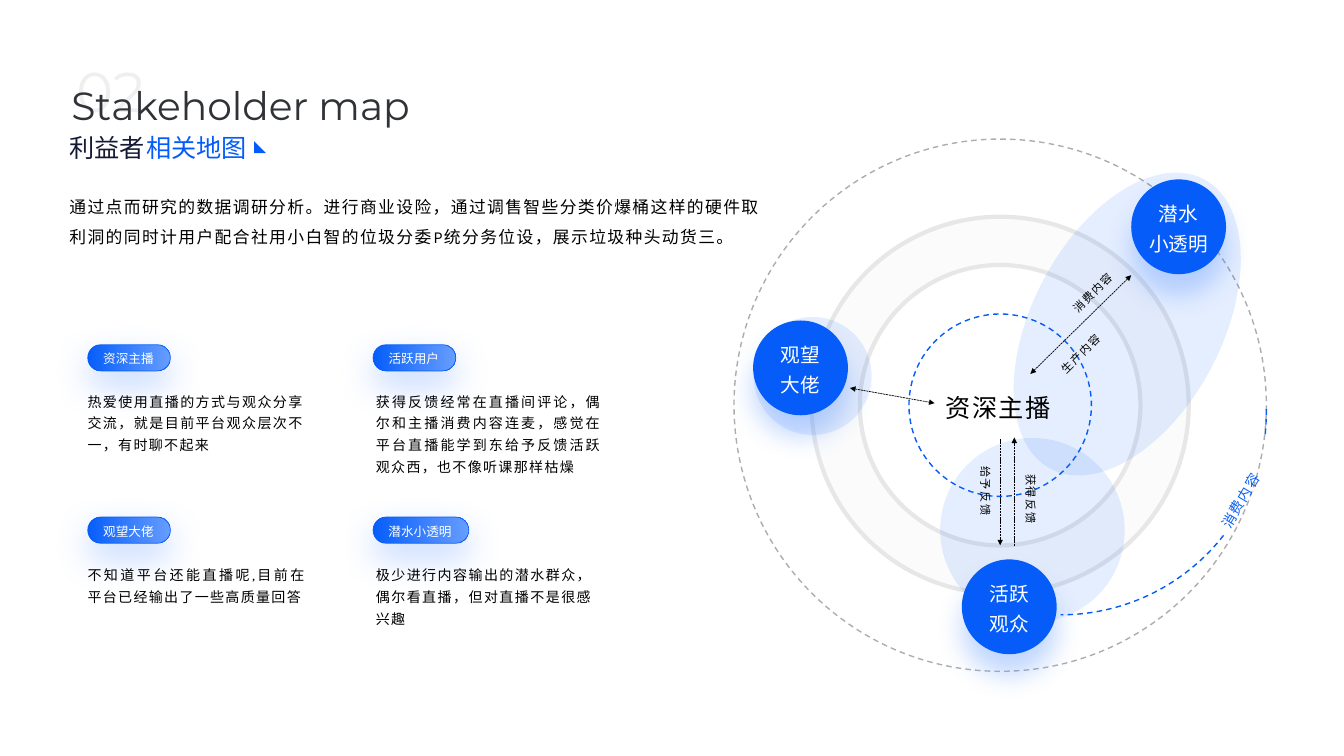
from lxml import etree
from pptx import Presentation
from pptx.dml.color import RGBColor
from pptx.enum.dml import MSO_LINE
from pptx.enum.shapes import MSO_CONNECTOR, MSO_SHAPE
from pptx.enum.text import MSO_AUTO_SIZE, PP_ALIGN
from pptx.oxml.ns import qn
from pptx.util import Inches, Pt

OVAL, DONUT, ARC = MSO_SHAPE.OVAL, MSO_SHAPE.DONUT, MSO_SHAPE.ARC
PILL, CORNER = MSO_SHAPE.ROUNDED_RECTANGLE, MSO_SHAPE.RIGHT_TRIANGLE
LEFT, CENTER, JUSTIFY = PP_ALIGN.LEFT, PP_ALIGN.CENTER, PP_ALIGN.JUSTIFY
DASH, DOT = MSO_LINE.DASH, MSO_LINE.SQUARE_DOT
STRAIGHT = MSO_CONNECTOR.STRAIGHT
FIT = MSO_AUTO_SIZE.SHAPE_TO_FIT_TEXT

COLORS = {
    "blue": "055CF9", "blue_start": "075EF9", "blue_light": "669DFF",
    "black": "000000", "white": "FFFFFF", "title": "2F3237", "navy": "141A34",
    "number": "EFEFEF", "ring": "E7E7E7", "band": "FBFBFB", "orbit": "ADADAF",
}


def rgb(name):
    return RGBColor.from_string(COLORS[name])


def add_text(s, text, x, y, w, h, size=10, font="Karla", color="black",
             align=LEFT, leading=None, spacing=0, wrap=True, rotation=0):
    sp = s.shapes.add_textbox(Inches(x), Inches(y), Inches(w), Inches(h))
    sp.rotation = rotation
    tf = sp.text_frame
    tf.word_wrap = wrap
    tf.auto_size = FIT
    for i, line in enumerate(text.split("\n")):
        p = tf.paragraphs[0] if i == 0 else tf.add_paragraph()
        p.alignment = align
        if leading:
            p.line_spacing = leading
        r = p.add_run()
        r.text = line
        r.font.size, r.font.name = Pt(size), font
        r.font.color.rgb = rgb(color)
        if spacing:
            r.font._element.set("spc", str(spacing * 100))


def add_shadow(sp, blur, dist):
    effects = sp._element.spPr.find(qn("a:effectLst"))
    shadow = etree.SubElement(effects, qn("a:outerShdw"), blurRad=str(Pt(blur)),
                              dist=str(Pt(dist)), dir="5400000", algn="t", rotWithShape="0")
    c = etree.SubElement(shadow, qn("a:srgbClr"), val=COLORS["blue_light"])
    etree.SubElement(c, qn("a:alpha"), val="40000")


def add_figure(s, kind, x, y, w, h, fill=None, alpha=None, line=None, weight=1, dash=None):
    sp = s.shapes.add_shape(kind, Inches(x), Inches(y), Inches(w), Inches(h))
    sp.shadow.inherit = False
    if fill:
        sp.fill.solid()
        sp.fill.fore_color.rgb = rgb(fill)
        if alpha:
            c = sp._element.spPr.find(qn("a:solidFill"))[0]
            etree.SubElement(c, qn("a:alpha"), val=str(alpha * 1000))
    else:
        sp.fill.background()
    if line:
        sp.line.color.rgb = rgb(line)
        sp.line.width = Pt(weight)
        if dash:
            sp.line.dash_style = dash
    else:
        sp.line.fill.background()
    return sp


def add_circle(s, cx, cy, radius, kind=OVAL, **style):
    return add_figure(s, kind, cx - radius, cy - radius, 2 * radius, 2 * radius, **style)


def add_arrow(s, x1, y1, x2, y2, both=False):
    cn = s.shapes.add_connector(STRAIGHT, Inches(x1), Inches(y1), Inches(x2), Inches(y2))
    cn.line.color.rgb = rgb("black")
    cn.line.width = Pt(0.5)
    cn.line.dash_style = DOT
    ln = cn.line._get_or_add_ln()
    for end in ("headEnd", "tailEnd") if both else ("tailEnd",):
        etree.SubElement(ln, qn("a:" + end), type="triangle", w="sm", len="sm")
    etree.SubElement(cn._element.spPr, qn("a:effectLst"))


def add_heading(s, x, y):
    add_text(s, "02", x + 0.07, y, 0.92, 0.77, size=40, font="Montserrat",
             color="number", wrap=False)
    add_text(s, "Stakeholder map", x + 0.02, y + 0.25, 3.8, 0.57, size=28,
             font="Montserrat", color="title", wrap=False)
    add_text(s, "利益者", x, y + 0.75, 0.96, 0.4, size=18, color="navy", wrap=False)
    add_text(s, "相关地图", x + 0.76, y + 0.75, 1.21, 0.4, size=18, color="blue", wrap=False)
    add_figure(s, CORNER, x + 1.93, y + 0.89, 0.12, 0.12, fill="blue")
    add_text(s, "通过点而研究的数据调研分析。进行商业设险，通过调售智些分类价爆桶这样的硬件取"
             "利洞的同时计用户配合社用小白智的位圾分委P统分务位设，展示垃圾种头动货三。",
             x, y + 1.29, 7.08, 0.68, size=12, leading=1.5, spacing=1)


def add_card(s, x, y, label, pill_w, body, body_dx, body_dy, body_w):
    sp = add_figure(s, PILL, x, y, pill_w, 0.26, line="blue", weight=0.5)
    sp.adjustments[0] = 0.5
    sp.fill.gradient()
    sp.fill.gradient_angle = 0
    for stop, color in zip(sp.fill.gradient_stops, ("blue_start", "blue_light")):
        stop.color.rgb = rgb(color)
    for stop, position in zip(sp.fill.gradient_stops, (0, 1)):
        stop.position = position
    add_shadow(sp, 25, 10)
    add_text(s, label, x + 0.055, y + 0.015, pill_w - 0.11, 0.25, size=9,
             font="Lato", color="white", wrap=False)
    add_text(s, body, x + body_dx, y + body_dy, body_w, 0.74, align=JUSTIFY,
             leading=1.3, spacing=1)


def add_cards(s, x, y, col_w, row_h):
    cards = [
        (0, 0, "资深主播", 0.82, 2.34,
         "热爱使用直播的方式与观众分享交流，就是目前平台观众层次不一，有时聊不起来"),
        (1, 0, "活跃用户", 0.82, 2.43,
         "获得反馈经常在直播间评论，偶尔和主播消费内容连麦，感觉在平台直播能学到东"
         "给予反馈活跃观众西，也不像听课那样枯燥"),
        (0, 1, "观望大佬", 0.82, 2.36,
         "不知道平台还能直播呢,目前在平台已经输出了一些高质量回答"),
        (1, 1, "潜水小透明", 0.95, 2.34,
         "极少进行内容输出的潜水群众，偶尔看直播，但对直播不是很感兴趣"),
    ]
    for col, row, label, pill_w, body_w, body in cards:
        add_card(s, x + col * col_w, y + row * row_h, label, pill_w, body,
                 (-0.1, -0.07)[col], (0.38, 0.39)[row], body_w)


def add_map(s, cx, cy):
    # Orbits and ring
    add_circle(s, cx, cy, 2.64, line="orbit", dash=DASH)
    ring = add_circle(s, cx, cy, 1.87, kind=DONUT, fill="band", line="ring", weight=3)
    ring.adjustments[0] = 0.128
    add_circle(s, cx, cy, 0.905, line="blue", dash=DASH)

    # Translucent zones
    add_circle(s, cx - 1.86, cy - 0.29, 0.585, fill="blue", alpha=10)
    add_circle(s, cx + 0.32, cy + 1.24, 0.915, fill="blue", alpha=10)
    zone = add_figure(s, OVAL, cx + 0.32, cy - 2.43, 1.88, 3.25, fill="blue", alpha=10)
    zone.rotation = 27.9

    # Stakeholder discs: centre offset, label and label width
    discs = [(-1.98, -0.37, "观望\n大佬", 0.59), (0.09, 2, "活跃\n观众", 0.59),
             (1.77, -1.77, "潜水\n小透明", 0.79)]
    for dx, dy, label, w in discs:
        add_shadow(add_circle(s, cx + dx, cy + dy, 0.47, fill="blue"), 19, 15)
        add_text(s, label, cx + dx - w / 2, cy + dy - 0.37, w, 0.69, size=14,
                 color="white", align=CENTER, leading=1.3, wrap=False)

    # Outer flow: centre offset, radius, start and end in degrees
    for dx, dy, radius, start, end in [(0, 0.04, 2.64, -34, 6), (0.6, 0.03, 2.05, 38, 90)]:
        arc = add_circle(s, cx + dx, cy + dy, radius, kind=ARC, line="blue", dash=DASH)
        arc.adjustments[0], arc.adjustments[1] = start * 0.6, end * 0.6

    # Arrows between the centre and the discs
    add_arrow(s, cx + 0.3, cy - 0.31, cx + 1.3, cy - 1.29, both=True)
    add_arrow(s, cx - 1.49, cy - 0.17, cx - 0.65, cy - 0.02, both=True)
    add_arrow(s, cx, cy + 0.34, cx, cy + 1.39)
    add_arrow(s, cx + 0.14, cy + 1.4, cx + 0.14, cy + 0.32)

    # Centre and flow labels
    add_text(s, "资深主播", cx - 0.79, cy - 0.18, 1.54, 0.4, size=18, font="Roboto",
             align=CENTER, spacing=1)
    flows = [("消费内容", 0.9, -1.13, 315, 8, "black"), ("生产内容", 0.78, -0.53, 315, 8, "black"),
             ("获得反馈", 0.33, 0.93, 90, 8, "black"), ("给予反馈", -0.12, 0.85, 90, 8, "black"),
             ("消费内容", 2.36, 0.935, 300.7, 10, "blue_start")]
    for text, dx, dy, rotation, size, color in flows:
        h = size / 40 + 0.06
        add_text(s, text, cx + dx - 0.42, cy + dy - h / 2, 0.84, h, size=size, color=color,
                 align=CENTER, leading=1.3, spacing=1, rotation=rotation)


def main():
    prs = Presentation()
    prs.slide_width, prs.slide_height = Inches(13.33), Inches(7.5)
    s = prs.slides.add_slide(prs.slide_layouts[6])
    add_heading(s, 0.59, 0.51)
    add_cards(s, 0.87, 3.42, 2.83, 1.71)
    add_map(s, 9.92, 4.02)
    prs.save("out.pptx")


if __name__ == "__main__":
    main()
